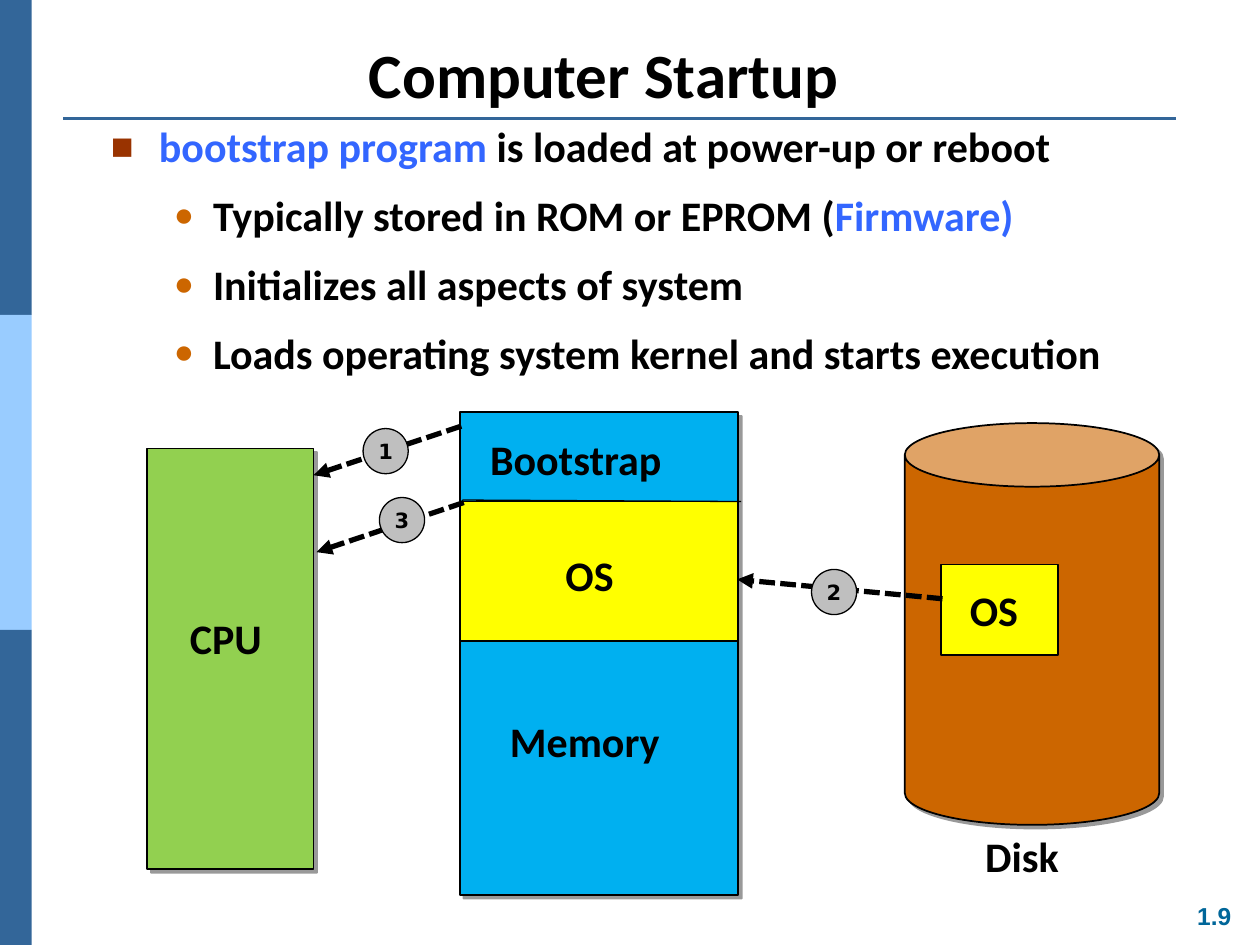
"""Build the Computer Startup slide: boot steps above a CPU, memory and disk diagram."""
from dataclasses import dataclass

from lxml.etree import SubElement
from pptx import Presentation
from pptx.dml.color import RGBColor
from pptx.enum.dml import MSO_LINE
from pptx.enum.shapes import MSO_CONNECTOR, MSO_SHAPE as SHAPE
from pptx.enum.text import MSO_ANCHOR as ANCHOR, MSO_AUTO_SIZE as FIT, PP_ALIGN as ALIGN
from pptx.oxml.ns import qn
from pptx.util import Cm, Pt


@dataclass(frozen=True)
class Theme:
    """Colours, fonts and type sizes of the slide."""
    black: str = "000000"
    navy: str = "336699"
    sky: str = "99CCFF"
    teal: str = "006699"
    key: str = "3366FF"
    rust: str = "993300"
    orange: str = "CC6600"
    cyan: str = "00B0F0"
    yellow: str = "FFFF00"
    green: str = "92D050"
    grey: str = "BFBFBF"
    face: str = "Calibri"
    number_face: str = "Arial"
    badge_face: str = "DejaVu Sans"
    title: int = 36
    text: int = 24
    number: int = 14
    badge: int = 12


T = Theme()
BULLETS = [("■", T.rust, 90, 0.97, -0.97), ("●", T.orange, 80, 2.06, -0.79)]


def rgb(color):
    """Turn a hex string into a colour."""
    return RGBColor.from_string(color)


def apply(obj, **values):
    """Set each named value as an attribute of the object."""
    for name, value in values.items():
        setattr(obj, name, value)


def place(sp, x, y, w, h):
    """Move and size a shape in centimetres."""
    apply(sp, left=Cm(x), top=Cm(y), width=Cm(w), height=Cm(h))


def add_run(p, text, size=T.text, color=T.black, face=T.face):
    """Add a bold run to a paragraph."""
    r = p.add_run()
    r.text = text
    apply(r.font, name=face, size=Pt(size), bold=True)
    r.font.color.rgb = rgb(color)


def add_title(s, text):
    """Fill the title placeholder."""
    sp = s.shapes.title
    place(sp, 0.74, 0.76, 22.86, 1.6)
    tf = sp.text_frame
    apply(tf, vertical_anchor=ANCHOR.BOTTOM, auto_size=FIT.NONE)
    p = tf.paragraphs[0]
    p.alignment = ALIGN.CENTER
    add_run(p, text, T.title)


def add_bullet(p, level):
    """Give a paragraph the indent and bullet of its level."""
    char, color, percent, margin, indent = BULLETS[level]
    p.level = level
    pPr = p._p.get_or_add_pPr()
    pPr.set("marL", str(Cm(margin)))
    pPr.set("indent", str(Cm(indent)))
    SubElement(SubElement(pPr, qn("a:buClr")), qn("a:srgbClr"), val=color)
    SubElement(pPr, qn("a:buSzPct"), val=str(percent * 1000))
    SubElement(pPr, qn("a:buFont"), typeface="Arial")
    SubElement(pPr, qn("a:buChar"), char=char)


def add_list(s, items):
    """Fill the body placeholder with levelled paragraphs of coloured runs."""
    sp = s.placeholders[1]
    place(sp, 1.98, 2.31, 21.95, 12.57)
    tf = sp.text_frame
    tf.auto_size = FIT.NONE
    for i, (level, runs) in enumerate(items):
        p = tf.add_paragraph() if i else tf.paragraphs[0]
        add_bullet(p, level)
        p.space_before = Pt(10.5 if i else 0)
        for text, color in runs:
            add_run(p, text, color=color)


def add_block(s, kind, at, fill, weight=1, shadow=False):
    """Add a filled shape with an optional outline and hard shadow."""
    sp = s.shapes.add_shape(kind, *map(Cm, at))
    sp.fill.solid()
    sp.fill.fore_color.rgb = rgb(fill)
    if weight:
        sp.line.color.rgb = rgb(T.black)
        sp.line.width = Pt(weight)
    else:
        sp.line.fill.background()
    sp.shadow.inherit = False
    if shadow:
        effects = sp._element.spPr.find(qn("a:effectLst"))
        outer = SubElement(effects, qn("a:outerShdw"), blurRad="0", dist=str(Pt(3)),
                           dir="2700000", algn="ctr", rotWithShape="0")
        color = SubElement(outer, qn("a:srgbClr"), val=T.black)
        SubElement(color, qn("a:alpha"), val="40000")
    return sp


def add_label(s, text, x, y, w, h=1.27, align=ALIGN.LEFT, **style):
    """Add a one-line text box."""
    tf = s.shapes.add_textbox(Cm(x), Cm(y), Cm(w), Cm(h)).text_frame
    apply(tf, word_wrap=False, auto_size=FIT.SHAPE_TO_FIT_TEXT)
    p = tf.paragraphs[0]
    p.alignment = align
    add_run(p, text, **style)


def add_line(s, start, end, color=T.black, weight=0.75):
    """Add a plain straight line."""
    line = s.shapes.add_connector(MSO_CONNECTOR.STRAIGHT, *map(Cm, start + end))
    line.line.color.rgb = rgb(color)
    line.line.width = Pt(weight)
    SubElement(line._element.spPr, qn("a:effectLst"))
    return line


def add_step(s, number, start, end, badge):
    """Add a dashed arrow with its numbered badge."""
    arrow = add_line(s, start, end, weight=3)
    arrow.line.dash_style = MSO_LINE.SQUARE_DOT
    SubElement(arrow.line._get_or_add_ln(), qn("a:tailEnd"), type="triangle")
    tf = add_block(s, SHAPE.OVAL, badge + (0.91, 0.91), T.grey, 0.75).text_frame
    apply(tf, word_wrap=False, vertical_anchor=ANCHOR.MIDDLE)
    p = tf.paragraphs[0]
    p.alignment = ALIGN.CENTER
    add_run(p, number, T.badge, face=T.badge_face)


def add_frame(s):
    """Add the side bars, title rule and slide number."""
    for i, color in enumerate((T.navy, T.sky, T.navy)):
        add_block(s, SHAPE.RECTANGLE, (0, i * 6.35, 0.64, 6.35), color, 0)
    add_line(s, (1.27, 2.39), (23.7, 2.39), T.navy, 1.5)
    add_label(s, "1.9", 22.83, 18.03, 3.3, 0.86, ALIGN.CENTER,
              size=T.number, color=T.teal, face=T.number_face)


def add_diagram(s):
    """Add the memory, disk and CPU with the boot steps between them."""
    add_block(s, SHAPE.RECTANGLE, (9.27, 8.31, 5.61, 9.73), T.cyan, shadow=True)
    add_block(s, SHAPE.RECTANGLE, (9.27, 10.11, 5.61, 2.82), T.yellow)
    add_block(s, SHAPE.CAN, (18.24, 8.53, 5.13, 8.1), T.orange, shadow=True)
    add_block(s, SHAPE.RECTANGLE, (18.97, 11.38, 2.36, 1.83), T.yellow)
    add_block(s, SHAPE.RECTANGLE, (2.97, 9.04, 3.35, 8.48), T.green, shadow=True)
    add_line(s, (9.32, 10.08), (14.94, 10.11))
    for text, x, y, w in [("Bootstrap", 9.63, 8.61, 4.7), ("OS", 11.15, 10.95, 1.65),
                          ("CPU", 3.58, 12.22, 2.21), ("OS", 19.3, 11.66, 1.65),
                          ("Memory", 10.03, 14.3, 4.01), ("Disk", 19.61, 16.61, 2.34)]:
        add_label(s, text, x, y, w)
    add_step(s, "2", (19, 12.07), (14.86, 11.68), (16.36, 11.48))
    add_step(s, "3", (9.35, 10.13), (6.38, 11.13), (7.65, 10.03))
    add_step(s, "1", (9.3, 8.59), (6.32, 9.58), (7.32, 8.64))


def main():
    """Build and save the slide."""
    prs = Presentation()
    apply(prs, slide_width=Cm(25.4), slide_height=Cm(19.05))
    s = prs.slides.add_slide(prs.slide_layouts[1])
    add_frame(s)
    add_title(s, "Computer Startup")
    add_list(s, [
        (0, [("bootstrap program ", T.key), ("is loaded at power-up or reboot", T.black)]),
        (1, [("Typically stored in ROM or EPROM (", T.black), ("Firmware)", T.key)]),
        (1, [("Initializes all aspects of system", T.black)]),
        (1, [("Loads operating system kernel and starts execution", T.black)]),
    ])
    add_diagram(s)
    prs.save("out.pptx")


if __name__ == "__main__":
    main()
